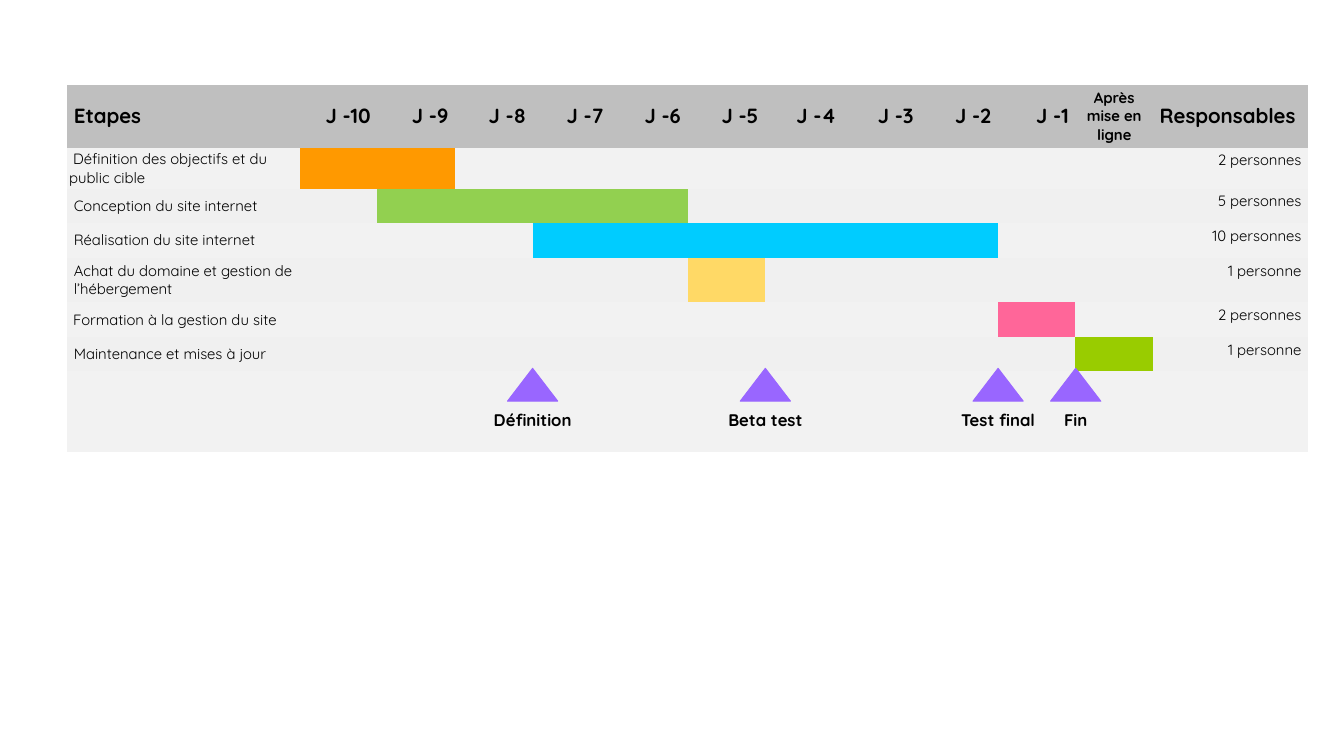
"""Build a website project schedule with task bars and milestones."""
from dataclasses import dataclass

from pptx import Presentation
from pptx.dml.color import RGBColor
from pptx.enum.shapes import MSO_SHAPE
from pptx.enum.text import MSO_ANCHOR, PP_ALIGN
from pptx.oxml.ns import qn
from pptx.util import Inches, Pt

LEFT, CENTER, RIGHT = PP_ALIGN.LEFT, PP_ALIGN.CENTER, PP_ALIGN.RIGHT
TOP, MIDDLE = MSO_ANCHOR.TOP, MSO_ANCHOR.MIDDLE
TRIANGLE = MSO_SHAPE.ISOSCELES_TRIANGLE
NO_GRID_STYLE = "{2D5ABB26-0587-4C30-8999-92F81FD0307C}"
FONT = "Quicksand"
COLORS = {
    "header": "BFBFBF", "odd": "F2F2F2", "even": "F0F0F0", "text": "000000",
    "orange": "FF9900", "green": "92D050", "blue": "00CCFF", "yellow": "FFD966",
    "pink": "FF6699", "lime": "99CC00", "milestone": "9966FF",
}

SLIDE_WIDTH, SLIDE_HEIGHT = 20.03, 11.27
TABLE_LEFT, TABLE_TOP, TABLE_WIDTH = 1, 1.26, 18.5
TASK_UNITS, PERIODS, OWNER_UNITS = 3, 11, 2
UNIT = TABLE_WIDTH / (TASK_UNITS + PERIODS + OWNER_UNITS)
COLUMN_UNITS = [TASK_UNITS] + [1] * PERIODS + [OWNER_UNITS]
ROW_HEIGHTS = [0.94, 0.61, 0.51, 0.52, 0.66, 0.52, 0.51, 1.21]
OWNER_COLUMN = PERIODS + 1
TIGHT_MARGIN = 0.03
MARKER_TOP, MARKER_WIDTH, MARKER_HEIGHT = 5.49, 0.75, 0.49
LABEL_TOP, LABEL_WIDTH, LABEL_HEIGHT = 5.99, 1.91, 0.55


@dataclass(frozen=True)
class Task:
    """A task, its bar from first to last period, and its owners."""
    name: str
    first: int
    last: int
    color: str
    owners: str
    tight: bool = False


@dataclass(frozen=True)
class Milestone:
    """A milestone at the end of a period."""
    name: str
    period: int


TASKS = [
    Task(" Définition des objectifs et du public cible", 1, 2, "orange", "2 personnes", True),
    Task("Conception du site internet", 2, 5, "green", "5 personnes"),
    Task("Réalisation du site internet", 4, 9, "blue", "10 personnes"),
    Task("Achat du domaine et gestion de l’hébergement", 6, 6, "yellow", "1 personne"),
    Task(" Formation à la gestion du site", 10, 10, "pink", "2 personnes", True),
    Task("Maintenance et mises à jour", 11, 11, "lime", "1 personne"),
]
MILESTONES = [
    Milestone("Définition", 3), Milestone("Beta test", 6),
    Milestone("Test final", 9), Milestone("Fin", 10),
]


def rgb(name: str) -> RGBColor:
    """Return a named colour."""
    return RGBColor.from_string(COLORS[name])


def fill(target, color: str) -> None:
    """Give a cell or shape a solid fill."""
    target.fill.solid()
    target.fill.fore_color.rgb = rgb(color)


def write(text_frame, text: str, size: int, bold: bool, alignment) -> None:
    """Write one formatted paragraph."""
    text_frame.text = text
    paragraph = text_frame.paragraphs[0]
    paragraph.alignment = alignment
    for run in paragraph.runs:
        run.font.name, run.font.size, run.font.bold = FONT, Pt(size), bold
        run.font.color.rgb = rgb("text")


def write_cell(cell, text: str, size: int = 16, bold: bool = False,
               alignment=LEFT, anchor=MIDDLE) -> None:
    """Write and anchor the text of a cell."""
    write(cell.text_frame, text, size, bold, alignment)
    cell.vertical_anchor = anchor


def add_grid(slide):
    """Add the plain table and set its columns, rows and row fills."""
    frame = slide.shapes.add_table(
        len(ROW_HEIGHTS), len(COLUMN_UNITS), Inches(TABLE_LEFT), Inches(TABLE_TOP),
        Inches(TABLE_WIDTH), Inches(sum(ROW_HEIGHTS)))
    table = frame.table
    table.first_row = table.horz_banding = False
    table._tbl.tblPr.find(qn("a:tableStyleId")).text = NO_GRID_STYLE
    for column, units in zip(table.columns, COLUMN_UNITS):
        column.width = Inches(units * UNIT)
    for index, height in enumerate(ROW_HEIGHTS):
        table.rows[index].height = Inches(height)
        color = "header" if index == 0 else "odd" if index % 2 else "even"
        for cell in table.rows[index].cells:
            fill(cell, color)
    return table


def write_header(table) -> None:
    """Write the column headings."""
    write_cell(table.cell(0, 0), "Etapes", 22, True)
    for period in range(1, PERIODS):
        write_cell(table.cell(0, period), f"J -{PERIODS - period}", 22, True, RIGHT)
    write_cell(table.cell(0, PERIODS), "Après mise en ligne", 16, True, CENTER)
    write_cell(table.cell(0, OWNER_COLUMN), "Responsables", 22, True)


def write_task(table, row: int, task: Task) -> None:
    """Write a task row and colour its bar."""
    name_cell = table.cell(row, 0)
    write_cell(name_cell, task.name)
    if task.tight:
        name_cell.margin_left = name_cell.margin_right = Inches(TIGHT_MARGIN)
        name_cell.margin_top = name_cell.margin_bottom = Inches(TIGHT_MARGIN)
    for period in range(task.first, task.last + 1):
        fill(table.cell(row, period), task.color)
    write_cell(table.cell(row, OWNER_COLUMN), task.owners, alignment=RIGHT, anchor=TOP)


def add_milestone(slide, milestone: Milestone) -> None:
    """Add a triangle and its label, centred on the end of a period."""
    center = TABLE_LEFT + (TASK_UNITS + milestone.period) * UNIT
    marker = slide.shapes.add_shape(
        TRIANGLE, Inches(center - MARKER_WIDTH / 2), Inches(MARKER_TOP),
        Inches(MARKER_WIDTH), Inches(MARKER_HEIGHT))
    marker.shadow.inherit = False
    fill(marker, "milestone")
    marker.line.color.rgb = rgb("milestone")
    marker.line.width = Pt(1)
    label = slide.shapes.add_textbox(
        Inches(center - LABEL_WIDTH / 2), Inches(LABEL_TOP),
        Inches(LABEL_WIDTH), Inches(LABEL_HEIGHT))
    label.text_frame.word_wrap = True
    label.text_frame.vertical_anchor = MIDDLE
    write(label.text_frame, milestone.name, 18, True, CENTER)


def main() -> None:
    """Build and save the presentation."""
    presentation = Presentation()
    presentation.slide_width = Inches(SLIDE_WIDTH)
    presentation.slide_height = Inches(SLIDE_HEIGHT)
    slide = presentation.slides.add_slide(presentation.slide_layouts[6])
    table = add_grid(slide)
    write_header(table)
    for row, task in enumerate(TASKS, start=1):
        write_task(table, row, task)
    last_row = len(ROW_HEIGHTS) - 1
    table.cell(last_row, 0).merge(table.cell(last_row, OWNER_COLUMN))
    for milestone in MILESTONES:
        add_milestone(slide, milestone)
    presentation.save("out.pptx")


main()
